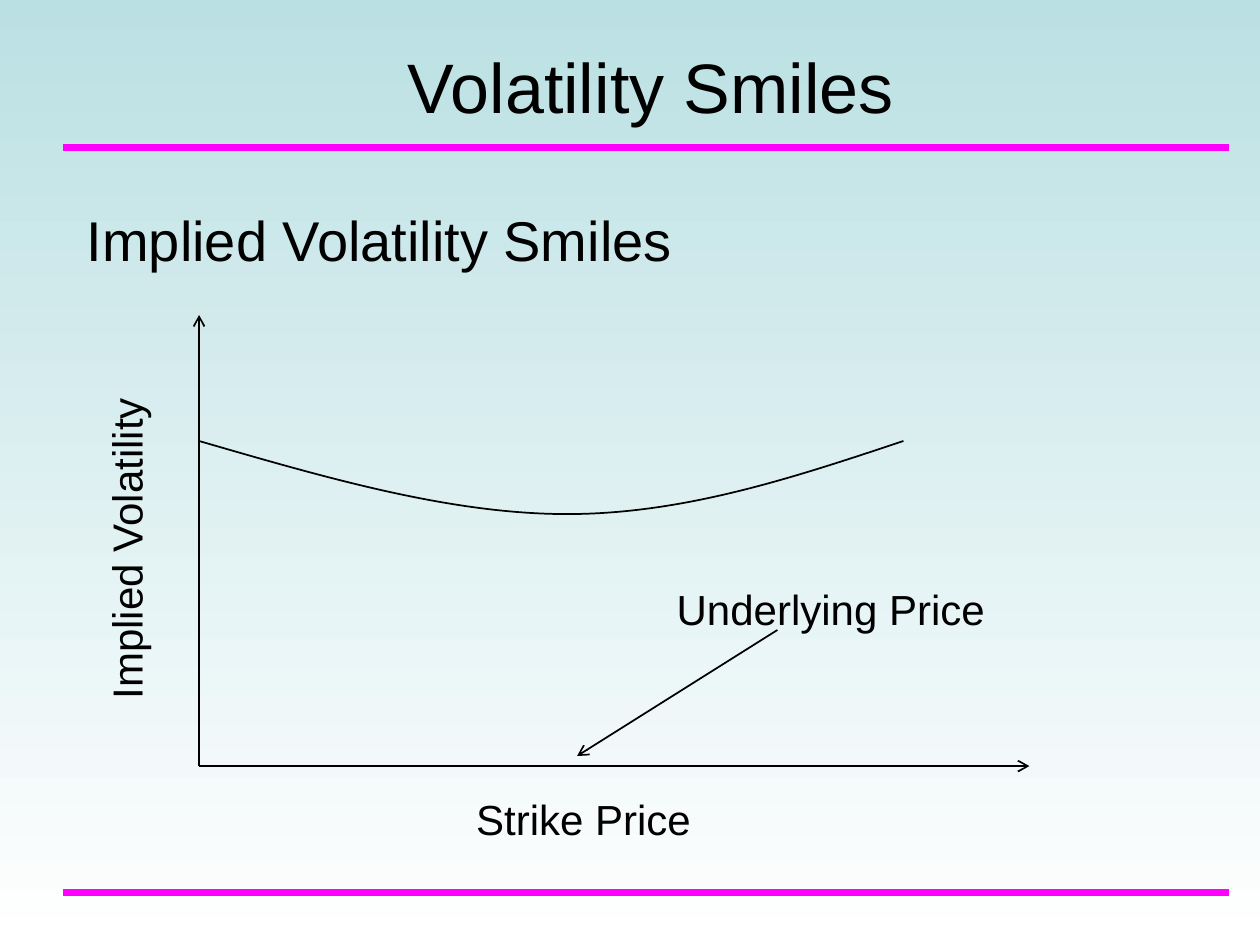
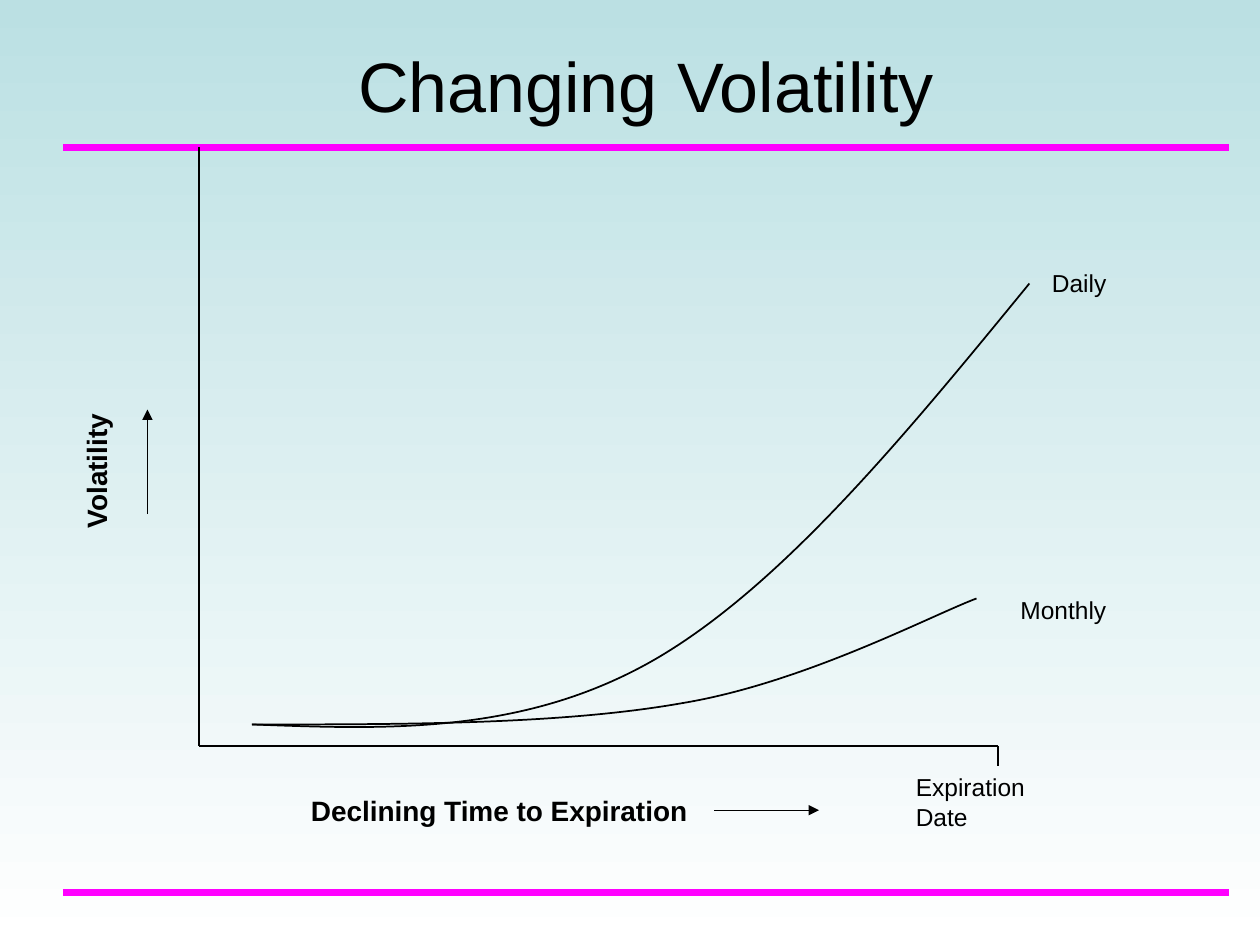
from dataclasses import dataclass

from lxml import etree
from pptx import Presentation
from pptx.dml.color import RGBColor
from pptx.enum.shapes import MSO_CONNECTOR
from pptx.enum.text import MSO_ANCHOR, PP_ALIGN
from pptx.oxml.ns import qn
from pptx.util import Inches, Pt

STRAIGHT = MSO_CONNECTOR.STRAIGHT
TOP, MIDDLE = MSO_ANCHOR.TOP, MSO_ANCHOR.MIDDLE
LEFT, CENTER = PP_ALIGN.LEFT, PP_ALIGN.CENTER


@dataclass(frozen=True)
class Theme:
    font: str = "Arial"
    ink: RGBColor = RGBColor.from_string("000000")
    rule: RGBColor = RGBColor.from_string("FF00FF")
    sky: RGBColor = RGBColor.from_string("BBE0E3")
    white: RGBColor = RGBColor.from_string("FFFFFF")
    title_size: int = 40
    heading_size: int = 32
    label_size: int = 24
    caption_size: int = 16
    note_size: int = 14
    rule_width: float = 4
    line_width: float = 1
    thin_width: float = 0.75
    space_ratio: float = 0.12


@dataclass(frozen=True)
class Box:
    left: float
    top: float
    width: float
    height: float

    def point(self, x, y):
        return Inches(self.left + x), Inches(self.top + y)

    def inner(self, x, y, width, height):
        return Box(self.left + x, self.top + y, width, height)


THEME = Theme()
SLIDE = Box(0, 0, 10, 7.5)


def add_text(slide, box, text, size, bold=False, align=LEFT, anchor=TOP,
             inset=0.1, wrap=True, space=0, rotation=0):
    shape = slide.shapes.add_textbox(*box.point(0, 0), Inches(box.width), Inches(box.height))
    shape.rotation = rotation
    frame = shape.text_frame
    frame.word_wrap = wrap
    frame.vertical_anchor = anchor
    frame.margin_left = frame.margin_right = Inches(inset)
    frame.margin_top = frame.margin_bottom = Inches(min(inset, 0.05))
    paragraph = frame.paragraphs[0]
    paragraph.text = text
    paragraph.alignment = align
    paragraph.space_before = Pt(size * space)
    font = paragraph.font
    font.name, font.size, font.bold = THEME.font, Pt(size), bold
    font.color.rgb = THEME.ink


def add_line(slide, box, start, end, width, color=THEME.ink, arrow=None):
    connector = slide.shapes.add_connector(STRAIGHT, *box.point(*start), *box.point(*end))
    connector.line.width = Pt(width)
    connector.line.color.rgb = color
    properties = connector._element.spPr
    if arrow:
        etree.SubElement(properties.find(qn("a:ln")), qn("a:tailEnd"), type=arrow)
    etree.SubElement(properties, qn("a:effectLst"))


def add_curve(slide, box, points):
    """Draw Bézier segments: a start, then two controls and an end for each."""
    start, *others = [box.point(*point) for point in points]
    builder = slide.shapes.build_freeform(*start)
    builder.add_line_segments(others, close=False)
    shape = builder.convert_to_shape()
    shape.shadow.inherit = False
    shape.fill.background()
    shape.line.color.rgb = THEME.ink
    shape.line.width = Pt(THEME.line_width)
    # Merge every three straight segments into one cubic segment
    segments = list(shape._element.iter(qn("a:lnTo")))
    for first, second, third in zip(segments[::3], segments[1::3], segments[2::3]):
        first.tag = qn("a:cubicBezTo")
        for segment in (second, third):
            first.append(segment[0])
            segment.getparent().remove(segment)


def add_framed_slide(presentation, title, title_box, title_inset):
    slide = presentation.slides.add_slide(presentation.slide_layouts[6])
    # Gradient background
    fill = slide.background.fill
    fill.gradient()
    fill.gradient_angle = 270
    for stop, color in zip(fill.gradient_stops, (THEME.sky, THEME.white)):
        stop.color.rgb = color
    # Rules under the title and at the foot
    for y in (1.17, 7.08):
        add_line(slide, SLIDE, (0.5, y), (9.75, y), THEME.rule_width, THEME.rule)
    add_text(slide, title_box, title, THEME.title_size, align=CENTER,
             anchor=MIDDLE, inset=title_inset)
    return slide


def add_axes(slide, box, width, arrow=None):
    origin = (0, box.height)
    for end in ((0, 0), (box.width, box.height)):
        add_line(slide, box, origin, end, width, arrow=arrow)


def draw_smile(slide, box):
    add_axes(slide, box, THEME.line_width, "arrow")
    # Axis and pointer labels
    for text, x, y, width, rotation in (
        ("Implied Volatility", -2.08, 1.5, 3, 270),
        ("Strike Price", 2, 3.75, 2.33, 0),
        ("Underlying Price", 3.59, 2.08, 3.08, 0),
    ):
        add_text(slide, box.inner(x, y, width, 0.5), text, THEME.label_size,
                 inset=0.2, space=THEME.space_ratio, rotation=rotation)
    # Smile curve and pointer to the underlying price
    add_curve(slide, box, [(0, 1), (1, 1.29), (1.99, 1.58), (2.92, 1.58),
                           (3.85, 1.58), (4.72, 1.29), (5.59, 1)])
    add_line(slide, box, (4.59, 2.5), (3, 3.5), THEME.line_width, arrow="arrow")


def draw_term_structure(slide, box):
    add_axes(slide, box, THEME.thin_width)
    # Axis captions, each with a direction arrow
    for text, x, y, width, rotation, start, end in (
        ("Declining Time to Expiration", 0.79, 5.08, 3.2, 0, (4.09, 5.26), (4.92, 5.26)),
        ("Volatility", -1.38, 2.37, 1.13, 270, (-0.41, 2.91), (-0.41, 2.08)),
    ):
        add_text(slide, box.inner(x, y, width, 0.37), text, THEME.caption_size,
                 bold=True, wrap=False, rotation=rotation)
        add_line(slide, box, start, end, THEME.thin_width, arrow="triangle")
    # Expiration tick
    add_line(slide, box, (box.width, box.height), (box.width, box.height + 0.16),
             THEME.thin_width)
    # Curve names and the expiration note
    for text, x, y, width, height, wrap in (
        ("Daily", 6.67, 0.91, 0.63, 0.33, False),
        ("Monthly", 6.42, 3.5, 0.88, 0.33, False),
        ("Expiration Date", 5.59, 4.91, 1.2, 0.57, True),
    ):
        add_text(slide, box.inner(x, y, width, height), text, THEME.note_size, wrap=wrap)
    # Monthly and daily curves
    add_curve(slide, box, [(0.42, 4.58), (1.65, 4.58), (2.88, 4.58), (3.84, 4.41),
                           (4.8, 4.25), (5.8, 3.72), (6.17, 3.58)])
    add_curve(slide, box, [(0.42, 4.58), (1.49, 4.62), (2.56, 4.66), (3.59, 4.08),
                           (4.61, 3.5), (5.6, 2.29), (6.59, 1.08)])


def main():
    presentation = Presentation()
    presentation.slide_width = Inches(SLIDE.width)
    presentation.slide_height = Inches(SLIDE.height)

    smiles = add_framed_slide(presentation, "Volatility Smiles", Box(0.58, 0.33, 9.17, 0.7), 0.1)
    add_text(smiles, Box(0.59, 1.58, 8.83, 0.67), "Implied Volatility Smiles",
             THEME.heading_size, space=THEME.space_ratio)
    draw_smile(smiles, Box(1.58, 2.5, 6.59, 3.58))

    changing = add_framed_slide(presentation, "Changing Volatility", Box(0.5, 0.17, 9.25, 1), 0)
    draw_term_structure(changing, Box(1.58, 1.17, 6.34, 4.75))

    presentation.save("out.pptx")


if __name__ == "__main__":
    main()
